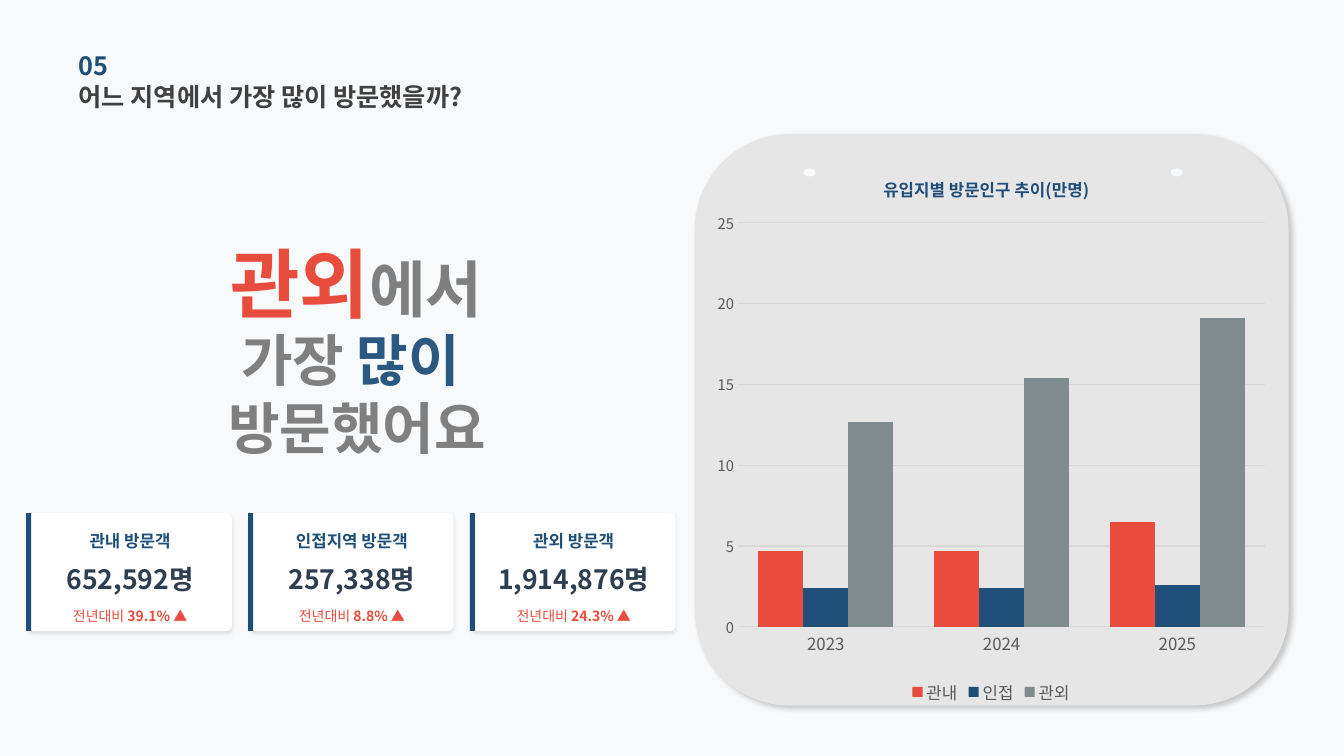
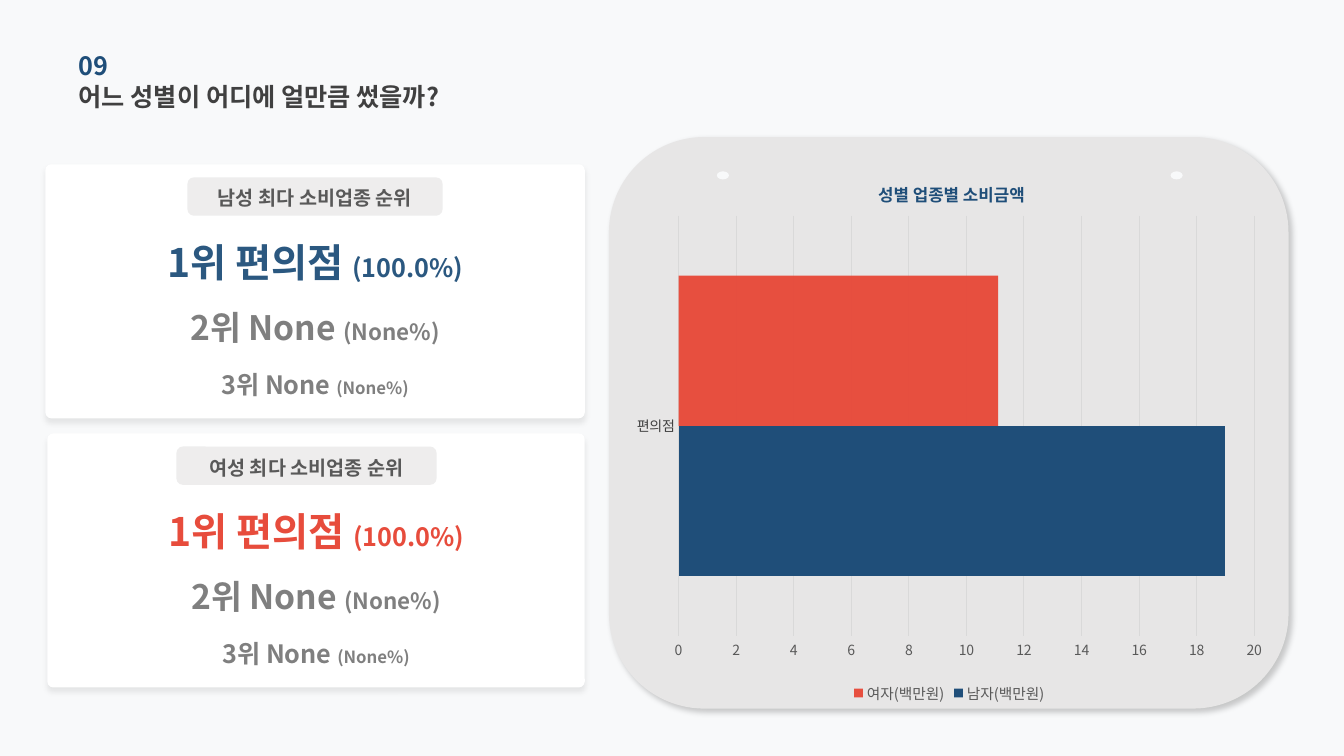
import lxml.etree
import pptx
import pptx.chart.data
import pptx.dml.color
import pptx.enum.chart
import pptx.enum.shapes
import pptx.enum.text
import pptx.oxml.ns
import pptx.util

Inches = pptx.util.Inches
Pt = pptx.util.Pt
RGBColor = pptx.dml.color.RGBColor
Shape = pptx.enum.shapes.MSO_SHAPE
Align = pptx.enum.text.PP_ALIGN
ChartType = pptx.enum.chart.XL_CHART_TYPE
qn = pptx.oxml.ns.qn

# Shared style
FONT = "Noto Sans CJK KR"
PAPER = RGBColor(0xF8, 0xF9, 0xFA)
WHITE = RGBColor(0xFF, 0xFF, 0xFF)
PANEL = RGBColor(0xE7, 0xE6, 0xE6)
PILL = RGBColor(0xD0, 0xCE, 0xCE)
GRID = RGBColor(0xD9, 0xD9, 0xD9)
NAVY = RGBColor(0x1F, 0x4E, 0x79)
BLUE = RGBColor(0x2B, 0x58, 0x80)
RED = RGBColor(0xE7, 0x4C, 0x3C)
TEAL_GRAY = RGBColor(0x7F, 0x8C, 0x8D)
GRAY = RGBColor(0x7F, 0x7F, 0x7F)
LABEL_GRAY = RGBColor(0x59, 0x59, 0x59)
TITLE_GRAY = RGBColor(0x40, 0x40, 0x40)
INK = RGBColor(0x2C, 0x3E, 0x50)

# Shadows: opacity %, blur pt, distance pt, direction in degrees
PANEL_SHADOW = (20, 4, 3, 45)
CARD_SHADOW = (10, 3, 2, 90)
RANK_SHADOW = (8, 4, 3, 90)


def add_element(parent, tag, **attributes):
    texts = {name: str(value) for name, value in attributes.items()}
    return lxml.etree.SubElement(parent, qn(tag), texts)


def set_opacity(fill, percent):
    color = fill._xPr.find(".//" + qn("a:srgbClr"))
    add_element(color, "a:alpha", val=percent * 1000)


def format_font(font, size, color, bold=False):
    values = {"name": FONT, "size": Pt(size), "bold": bold}
    for name, value in values.items():
        setattr(font, name, value)
    font.color.rgb = color
    add_element(font._element, "a:ea", typeface=FONT)


def place_in_chart(parent, frame, left, top, width=None, height=None):
    """Place a chart part by slide inches inside the chart frame."""
    layout = parent.find(qn("c:layout"))
    if layout is None:
        layout = add_element(parent, "c:layout")
        parent.insert(0, layout)
    manual = add_element(layout, "c:manualLayout")
    if width:
        add_element(manual, "c:layoutTarget", val="inner")
    add_element(manual, "c:xMode", val="edge")
    add_element(manual, "c:yMode", val="edge")
    add_element(manual, "c:x", val=round((left - frame[0]) / frame[2], 4))
    add_element(manual, "c:y", val=round((top - frame[1]) / frame[3], 4))
    if width:
        add_element(manual, "c:w", val=round(width / frame[2], 4))
        add_element(manual, "c:h", val=round(height / frame[3], 4))


class Report:
    def __init__(self):
        self.deck = pptx.Presentation()
        self.deck.slide_width = Inches(13.33)
        self.deck.slide_height = Inches(7.5)
        self.page = None
        self.shapes = None

    def new_page(self, number, title):
        self.page = self.deck.slides.add_slide(self.deck.slide_layouts[5])
        self.shapes = self.page.shapes
        self.page.background.fill.solid()
        self.page.background.fill.fore_color.rgb = PAPER
        box = self.page.shapes.title
        places = {"left": 0.78, "top": 0.75, "width": 5.28, "height": 0.41}
        for name, value in places.items():
            setattr(box, name, Inches(value))
        self.set_text(box, [[(title, 18, TITLE_GRAY, True)]], Align.LEFT)
        self.text((0.78, 0.44, 4.52, 0.41), [(number, 18, NAVY, True)], align=Align.LEFT)

    def start_group(self):
        self.shapes = self.page.shapes.add_group_shape().shapes

    def set_text(self, box, paragraphs, align, spacing=None):
        frame = box.text_frame
        values = {
            "margin_left": 0, "margin_top": 0, "margin_right": 0, "margin_bottom": 0,
            "word_wrap": True,
            "auto_size": pptx.enum.text.MSO_AUTO_SIZE.NONE,
            "vertical_anchor": pptx.enum.text.MSO_ANCHOR.MIDDLE,
        }
        for name, value in values.items():
            setattr(frame, name, value)
        for index, spans in enumerate(paragraphs):
            para = frame.add_paragraph() if index else frame.paragraphs[0]
            para.alignment = align
            if spacing:
                para.line_spacing = spacing
            for text, *style in spans:
                span = para.add_run()
                span.text = text
                format_font(span.font, *style)

    def text(self, place, *paragraphs, align=Align.CENTER, spacing=None):
        box = self.shapes.add_textbox(*map(Inches, place))
        self.set_text(box, paragraphs, align, spacing)

    def shape(self, kind, place, color, corner=None, shadow=None, opacity=None):
        shape = self.shapes.add_shape(kind, *map(Inches, place))
        shape.fill.solid()
        shape.fill.fore_color.rgb = color
        shape.line.fill.background()
        shape.shadow.inherit = False
        if corner:
            shape.adjustments[0] = corner
        if opacity:
            set_opacity(shape.fill, opacity)
        if shadow:
            alpha, blur, distance, angle = shadow
            effects = shape._element.spPr.find(qn("a:effectLst"))
            outer = add_element(effects, "a:outerShdw", blurRad=Pt(blur), dist=Pt(distance),
                                dir=angle * 60000, algn="t", rotWithShape=0)
            color_node = add_element(outer, "a:srgbClr", val="000000")
            add_element(color_node, "a:alpha", val=alpha * 1000)

    def panel(self, place, dots):
        self.shape(Shape.ROUNDED_RECTANGLE, place, PANEL, shadow=PANEL_SHADOW)
        for left in dots:
            self.shape(Shape.OVAL, (left, place[1] + 0.34, 0.12, 0.08), PAPER)

    def visitor_card(self, left, label, count, growth):
        top, width, height = 5.09, 2.02, 1.17
        self.shape(Shape.ROUNDED_RECTANGLE, (left, top, width, height), WHITE, 0.048, CARD_SHADOW)
        self.text((left, top + 0.16, width, 0.22), [(label, 12, NAVY, True)])
        self.text((left, top + 0.48, width, 0.34), [(count, 19, INK, True)])
        self.text((left, top + 0.92, width, 0.2),
                  [("전년대비 ", 10, RED), (growth + " ▲", 10, RED, True)])
        self.shape(Shape.RECTANGLE, (left - 0.02, top, 0.05, height), NAVY)

    def ranking_card(self, place, pill_left, pill_width, heading, ranks, color):
        left, top, width, _ = place
        self.start_group()
        self.shape(Shape.ROUNDED_RECTANGLE, place, WHITE, 0.023, RANK_SHADOW)
        rows = [(0.73, 0.48, 28, 18, color), (1.19, 0.84, 24, 16, GRAY), (1.76, 0.84, 18, 12, GRAY)]
        for (name, share), (offset, height, size, small, tint) in zip(ranks, rows):
            self.text((left, top + offset, width, height),
                      [(name, size, tint, True), (share, small, tint, True)])
        self.shape(Shape.ROUNDED_RECTANGLE, (pill_left, top + 0.13, pill_width, 0.38),
                   PILL, opacity=36)
        self.text((pill_left, top + 0.13, pill_width, 0.41), [(heading, 14, LABEL_GRAY, True)])

    def chart(self, kind, frame, plot_place, title, title_place, categories, series,
              gap, maximum, step, category_style, value_size, legend_size):
        data = pptx.chart.data.CategoryChartData()
        data.categories = categories
        for name, values, *_ in series:
            data.add_series(name, values)
        chart = self.page.shapes.add_chart(kind, *map(Inches, frame), data).chart
        format_font(chart.font, 10, LABEL_GRAY)

        # Clear chart background
        area = lxml.etree.Element(qn("c:spPr"))
        add_element(area, "a:noFill")
        add_element(add_element(area, "a:ln"), "a:noFill")
        space = chart._chartSpace
        space.find(qn("c:chart")).addnext(area)

        # Title, plot and legend
        chart.has_title = True
        para = chart.chart_title.text_frame.paragraphs[0]
        span = para.add_run()
        span.text = title
        format_font(span.font, 12, NAVY, True)
        place_in_chart(space.find(".//" + qn("c:title")), frame, *title_place)
        place_in_chart(space.find(".//" + qn("c:plotArea")), frame, *plot_place)
        chart.has_legend = True
        chart.legend.position = pptx.enum.chart.XL_LEGEND_POSITION.BOTTOM
        chart.legend.include_in_layout = False
        format_font(chart.legend.font, legend_size, LABEL_GRAY)

        # Bars
        plot = chart.plots[0]
        for name, value in {"gap_width": gap, "overlap": 0, "vary_by_categories": False}.items():
            setattr(plot, name, value)
        for bars, (_, _, color, *opacity) in zip(plot.series, series):
            bars.invert_if_negative = False
            bars.format.fill.solid()
            bars.format.fill.fore_color.rgb = color
            if opacity:
                set_opacity(bars.format.fill, opacity[0])

        # Axes
        category, value = chart.category_axis, chart.value_axis
        format_font(category.tick_labels.font, *category_style)
        format_font(value.tick_labels.font, value_size, LABEL_GRAY)
        for axis in (category, value):
            axis.major_tick_mark = pptx.enum.chart.XL_TICK_MARK.NONE
        value.minimum_scale, value.maximum_scale, value.major_unit = 0, maximum, step
        value.format.line.fill.background()
        value.has_major_gridlines = True
        for line in (category.format.line, value.major_gridlines.format.line):
            line.color.rgb = GRID
            line.width = Pt(0.75)


def build_region_page(report):
    report.new_page("05", "어느 지역에서 가장 많이 방문했을까?")
    report.panel((6.89, 1.33, 5.89, 5.67), (7.97, 11.61))

    # Headline
    report.text((1.39, 2.56, 4.29, 0.48), [("관외", 54, RED, True), ("에서", 44, GRAY, True)])
    report.text((0.78, 3.48, 5.52, 0.84),
                [("가장", 40, GRAY, True), (" 많이 ", 40, BLUE, True)],
                [("방문했어요", 40, GRAY, True)], spacing=Pt(48))

    # Visitor cards
    cards = [
        ("관내 방문객", "652,592명", "39.1%"),
        ("인접지역 방문객", "257,338명", "8.8%"),
        ("관외 방문객", "1,914,876명", "24.3%"),
    ]
    for index, card in enumerate(cards):
        report.visitor_card(0.28 + 2.2 * index, *card)

    report.chart(
        ChartType.COLUMN_CLUSTERED, (7, 1.48, 5.66, 5.55), (7.32, 2.21, 5.23, 4.01),
        "유입지별 방문인구 추이(만명)", (8.73, 1.7), ["2023", "2024", "2025"],
        [("관내", (4.7, 4.7, 6.5), RED), ("인접", (2.4, 2.4, 2.6), NAVY),
         ("관외", (12.7, 15.4, 19.1), TEAL_GRAY)],
        gap=90, maximum=25, step=5, category_style=(12, LABEL_GRAY),
        value_size=10.5, legend_size=12)


def build_gender_page(report):
    report.new_page("09", "어느 성별이 어디에 얼만큼 썼을까?")
    report.panel((6.04, 1.36, 6.74, 5.67), (7.11, 11.61))
    report.chart(
        ChartType.BAR_CLUSTERED, (6.19, 1.52, 6.45, 5.5), (6.73, 2.14, 5.71, 4.17),
        "성별 업종별 소비금액", (8.68, 1.75), ["편의점"],
        [("남자(백만원)", (19,), NAVY), ("여자(백만원)", (11.1,), RED, 98)],
        gap=80, maximum=20, step=2, category_style=(10, TITLE_GRAY),
        value_size=10, legend_size=10.5)

    # Spending rankings
    ranks = [("1위 편의점 ", "(100.0%)"), ("2위 None ", "(None%)"), ("3위 None ", "(None%)")]
    report.ranking_card((0.45, 1.63, 5.35, 2.52), 1.86, 2.53,
                        "남성 최다 소비업종 순위", ranks, BLUE)
    report.ranking_card((0.47, 4.3, 5.33, 2.52), 1.75, 2.58,
                        "여성 최다 소비업종 순위", ranks, RED)


def main():
    report = Report()
    build_region_page(report)
    build_gender_page(report)
    report.deck.save("out.pptx")


if __name__ == "__main__":
    main()
